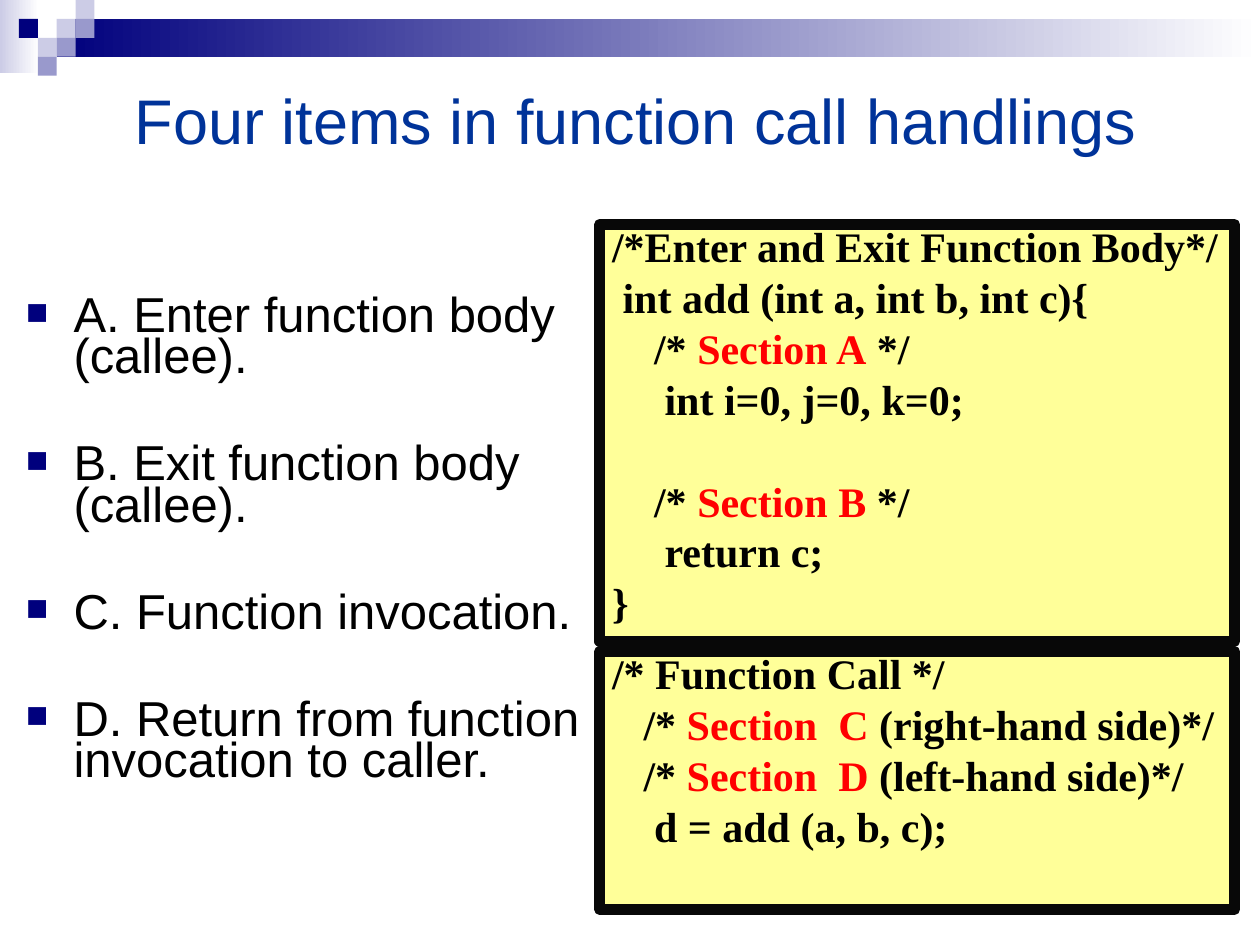
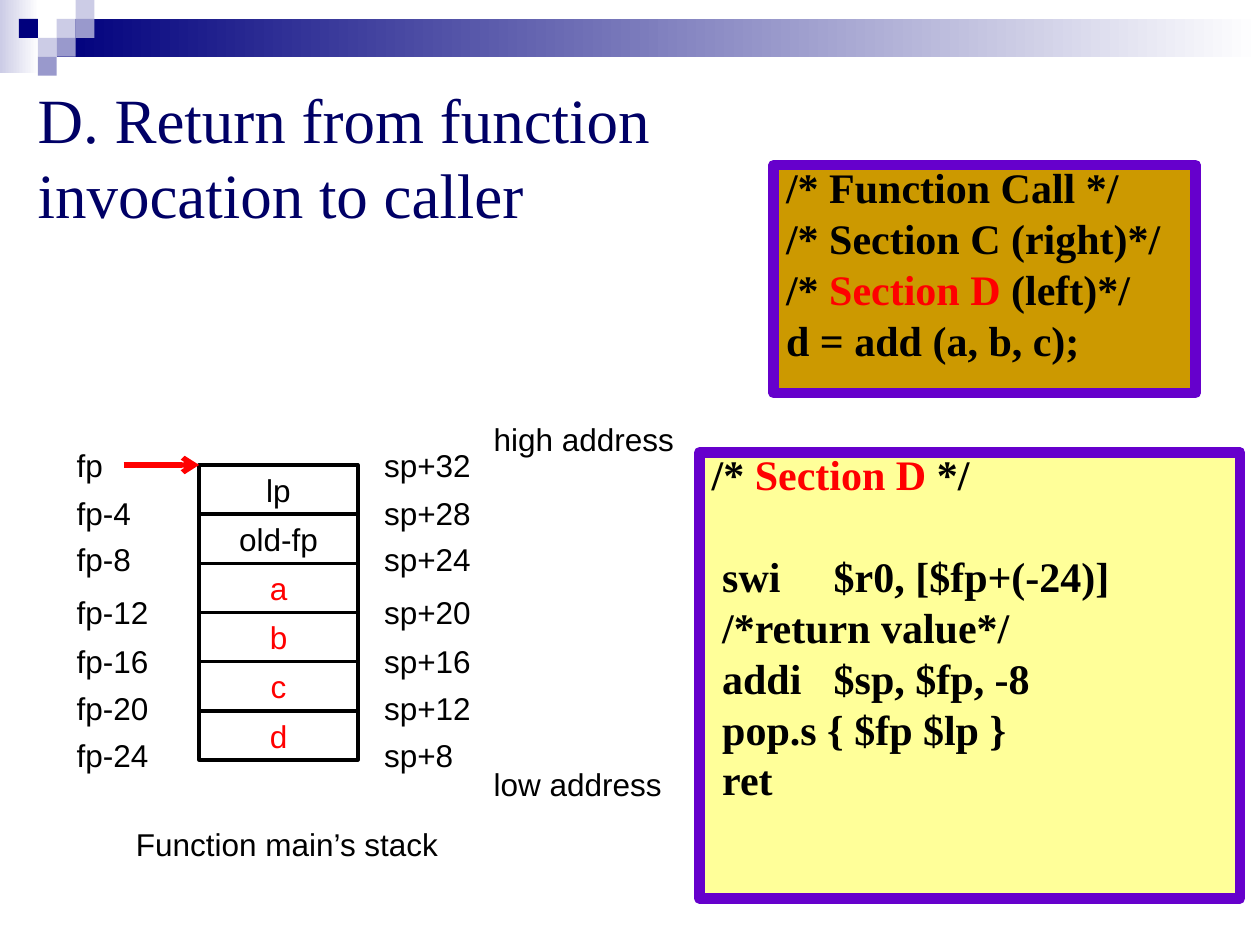
from dataclasses import dataclass
from typing import NamedTuple

from lxml import etree
from pptx import Presentation
from pptx import util as u
from pptx.dml.color import RGBColor
from pptx.enum import shapes, text
from pptx.oxml.ns import qn

SANS, SERIF = "Arial", "Times New Roman"
BLACK, WHITE, RED = "000000", "FFFFFF", "FF0000"
NAVY, LILAC, PERIWINKLE = "00007D", "CCCCE6", "9999CC"
YELLOW, OCHRE, NEAR_BLACK, PURPLE = "FFFF99", "CC9900", "080808", "6600CC"

SQUARE = 10.8  # side of a corner square, and the step of their grid
CORNER_SQUARES = [
    (3, 1, LILAC), (4, 0, LILAC), (4, 1, PERIWINKLE), (2, 2, LILAC),
    (1, 1, NAVY), (3, 2, PERIWINKLE), (2, 3, PERIWINKLE),
]
CODE_GAP = 6
CODE_BLANK = 35.1  # space before a line that follows an empty one
BULLET_GAP = 7
BULLET_BLANK = 37.6
BULLET_INDENT = 27
OPERAND_TAB = 69.7


class Area(NamedTuple):
    left: float
    top: float
    width: float
    height: float


class Style(NamedTuple):
    font: str
    size: float
    color: str = BLACK
    bold: bool = False


class Piece(NamedTuple):
    words: str
    color: str = BLACK


@dataclass
class CodeLine:
    pieces: list[Piece]
    indent: float = 0
    before: float = CODE_GAP


@dataclass
class CodeBox:
    area: Area
    fill: str
    border: str
    lines: list[CodeLine]


class StackRow(NamedTuple):
    top: float
    fp_width: float


CODE = Style(SERIF, 24, bold=True)
LABEL = Style(SANS, 18)


def code(words: str, indent: float = 0) -> CodeLine:
    return CodeLine([Piece(words)], indent)


def section(name: str, rest: str = " */", indent: float = 0, before: float = CODE_GAP) -> CodeLine:
    """A code comment whose section name is red."""
    return CodeLine([Piece("/* "), Piece(name, RED), Piece(rest)], indent, before)


BULLETS = [
    "A. Enter function body (callee).",
    "B. Exit function body (callee).",
    "C. Function invocation.",
    "D. Return from function invocation to caller.",
]
FUNCTION_BODY = CodeBox(Area(342.7, 128.2, 362.9, 238.3), YELLOW, NEAR_BLACK, [
    code("/*Enter and Exit Function Body*/"),
    code(" int add (int a, int b, int c){"),
    section("Section A", indent=24),
    code("int i=0, j=0, k=0;", 30),
    section("Section B", indent=24, before=CODE_BLANK),
    code("return c;", 30),
    code("}"),
])
FUNCTION_CALL = CodeBox(Area(342.7, 372.2, 362.9, 147.6), YELLOW, NEAR_BLACK, [
    code("/* Function Call */"),
    section("Section  C", " (right-hand side)*/", 18),
    section("Section  D", " (left-hand side)*/", 18),
    code("d = add (a, b, c);", 24),
])
RETURN_CODE = CodeBox(Area(399.6, 258.5, 308.9, 254.9), YELLOW, PURPLE, [
    section("Section D"),
    CodeLine([Piece(" swi\t$r0, [$fp+(-24)]")], before=CODE_BLANK),
    code(" /*return value*/"),
    code(" addi\t$sp, $fp, -8"),
    code(" pop.s { $fp $lp }"),
    code(" ret"),
])
CALL_REMINDER = CodeBox(Area(442.1, 94.3, 241.2, 130.3), OCHRE, PURPLE, [
    code("/* Function Call */"),
    code("/* Section C (right)*/"),
    section("Section D", " (left)*/"),
    code("d = add (a, b, c);"),
])

STACK_LEFT, STACK_TOP, CELL_WIDTH, CELL_HEIGHT = 113.8, 265.7, 90.7, 28.1
STACK_CELLS = [Piece("lp"), Piece("old-fp"), *(Piece(name, RED) for name in "abcd")]
STACK_ROWS = [
    StackRow(251.3, 34), StackRow(278.6, 55.4), StackRow(305.3, 55.4),
    StackRow(335.5, 62), StackRow(363.6, 62), StackRow(390.2, 62), StackRow(416.9, 62),
]
LABEL_HEIGHT = 28.8
STACK_NOTES = {
    "high address": Area(275, 236.2, 118.8, LABEL_HEIGHT),
    "low address": Area(275, 433.4, 118.8, LABEL_HEIGHT),
    "Function main’s stack": Area(70.6, 468, 188, LABEL_HEIGHT),
}


def rgb(color: str) -> RGBColor:
    return RGBColor.from_string(color)


def in_points(area: Area) -> list[u.Length]:
    return [u.Pt(length) for length in area]


def add_box(page, area: Area, fill: str, border: str = "", weight: float = 0):
    box = page.shapes.add_shape(shapes.MSO_SHAPE.RECTANGLE, *in_points(area))
    box.shadow.inherit = False
    box.fill.solid()
    box.fill.fore_color.rgb = rgb(fill)
    if border:
        box.line.color.rgb = rgb(border)
        box.line.width = u.Pt(weight)
    else:
        box.line.fill.background()
    return box


def add_fading_box(page, area: Area, color: str) -> None:
    """A box that fades to white from left to right."""
    box = add_box(page, area, color)
    box.fill.gradient()
    box.fill.gradient_angle = 0
    for stop, shade in zip(box.fill.gradient_stops, (color, WHITE)):
        stop.color.rgb = rgb(shade)


def add_span(para, words: str, style: Style) -> None:
    span = para.add_run()
    span.text = words
    span.font.name = style.font
    span.font.size = u.Pt(style.size)
    span.font.bold = style.bold
    span.font.color.rgb = rgb(style.color)


def prepare_frame(box, anchor=text.MSO_ANCHOR.TOP):
    frame = box.text_frame
    frame.word_wrap = True
    frame.vertical_anchor = anchor
    return frame


def paragraphs(frame, count: int) -> list:
    return [frame.paragraphs[0], *(frame.add_paragraph() for _ in range(count - 1))]


def add_text(page, area: Area, words: str, style: Style,
             align=text.PP_ALIGN.LEFT, anchor=text.MSO_ANCHOR.TOP) -> None:
    box = page.shapes.add_textbox(*in_points(area))
    para = prepare_frame(box, anchor).paragraphs[0]
    para.alignment = align
    add_span(para, words, style)


def add_bullet(para) -> None:
    props = para._p.get_or_add_pPr()
    props.set("marL", str(u.Pt(BULLET_INDENT)))
    props.set("indent", str(-u.Pt(BULLET_INDENT)))
    color = etree.SubElement(props, qn("a:buClr"))
    etree.SubElement(color, qn("a:srgbClr"), val=NAVY)
    etree.SubElement(props, qn("a:buSzPct"), val="75000")
    etree.SubElement(props, qn("a:buFont"), typeface=SANS)
    etree.SubElement(props, qn("a:buChar"), char="■")


def add_tab_stop(para, position: float) -> None:
    stops = etree.SubElement(para._p.get_or_add_pPr(), qn("a:tabLst"))
    etree.SubElement(stops, qn("a:tab"), pos=str(u.Pt(position)), algn="l")


def add_bullets(page, area: Area, items: list[str]) -> None:
    frame = prepare_frame(page.shapes.add_textbox(*in_points(area)))
    for number, (para, item) in enumerate(zip(paragraphs(frame, len(items)), items)):
        para.line_spacing = 0.7
        para.space_before = u.Pt(BULLET_BLANK if number else BULLET_GAP)
        add_bullet(para)
        add_span(para, item, Style(SANS, 28))


def add_code(page, block: CodeBox) -> None:
    frame = prepare_frame(add_box(page, block.area, block.fill, block.border, 6))
    for para, line in zip(paragraphs(frame, len(block.lines)), block.lines):
        para.alignment = text.PP_ALIGN.LEFT
        para.line_spacing = 0.8
        para.space_before = u.Pt(line.before)
        para._p.get_or_add_pPr().set("marL", str(u.Pt(line.indent)))
        if any("\t" in piece.words for piece in line.pieces):
            add_tab_stop(para, OPERAND_TAB)
        for piece in line.pieces:
            add_span(para, piece.words, CODE._replace(color=piece.color))


def add_arrow(page, left: float, right: float, y: float) -> None:
    arrow = page.shapes.add_connector(
        shapes.MSO_CONNECTOR.STRAIGHT, u.Pt(left), u.Pt(y), u.Pt(right), u.Pt(y))
    arrow.line.color.rgb = rgb(RED)
    arrow.line.width = u.Pt(3)
    etree.SubElement(arrow.line._get_or_add_ln(), qn("a:tailEnd"), type="arrow")
    etree.SubElement(arrow._element.spPr, qn("a:effectLst"))


def add_stack(page) -> None:
    """The stack cells with their fp and sp offsets, notes and frame pointer arrow."""
    for number, cell in enumerate(STACK_CELLS):
        area = Area(STACK_LEFT, STACK_TOP + number * CELL_HEIGHT, CELL_WIDTH, CELL_HEIGHT)
        box = add_box(page, area, WHITE, BLACK, 2)
        para = prepare_frame(box, text.MSO_ANCHOR.MIDDLE).paragraphs[0]
        para.alignment = text.PP_ALIGN.CENTER
        add_span(para, cell.words, LABEL._replace(color=cell.color))
    for number, row in enumerate(STACK_ROWS):
        offset = 4 * number
        fp_label = f"fp-{offset}" if offset else "fp"
        add_text(page, Area(36.7, row.top, row.fp_width, LABEL_HEIGHT), fp_label, LABEL)
        add_text(page, Area(212.4, row.top, 73.4, LABEL_HEIGHT), f"sp+{32 - offset}", LABEL)
    for words, area in STACK_NOTES.items():
        add_text(page, area, words, LABEL)
    add_arrow(page, 70.6, STACK_LEFT, STACK_TOP)


def add_page(deck):
    """A blank page with the shared band and corner squares."""
    page = deck.slides.add_slide(deck.slide_layouts[6])
    add_fading_box(page, Area(0, 0, 22.3, 41.8), LILAC)
    add_fading_box(page, Area(3 * SQUARE, SQUARE, 720 - 3 * SQUARE, 2 * SQUARE), NAVY)
    for column, row, color in CORNER_SQUARES:
        add_box(page, Area(column * SQUARE, row * SQUARE, SQUARE, SQUARE), color)
    return page


def build_items_page(deck) -> None:
    page = add_page(deck)
    add_text(page, Area(14.4, 43.2, 697.7, 56.9), "Four items in function call handlings",
             Style(SANS, 36, "003399"), align=text.PP_ALIGN.CENTER)
    add_bullets(page, Area(7.9, 167.8, 334.8, 306), BULLETS)
    add_code(page, FUNCTION_BODY)
    add_code(page, FUNCTION_CALL)


def build_return_page(deck) -> None:
    page = add_page(deck)
    add_text(page, Area(14.4, 25.9, 411.1, 126), "D. Return from function invocation to caller",
             Style(SERIF, 36, "000066"), anchor=text.MSO_ANCHOR.MIDDLE)
    add_code(page, RETURN_CODE)
    add_code(page, CALL_REMINDER)
    add_stack(page)


def main() -> None:
    deck = Presentation()
    deck.slide_width, deck.slide_height = u.Pt(720), u.Pt(540)
    build_items_page(deck)
    build_return_page(deck)
    deck.save("out.pptx")


if __name__ == "__main__":
    main()
